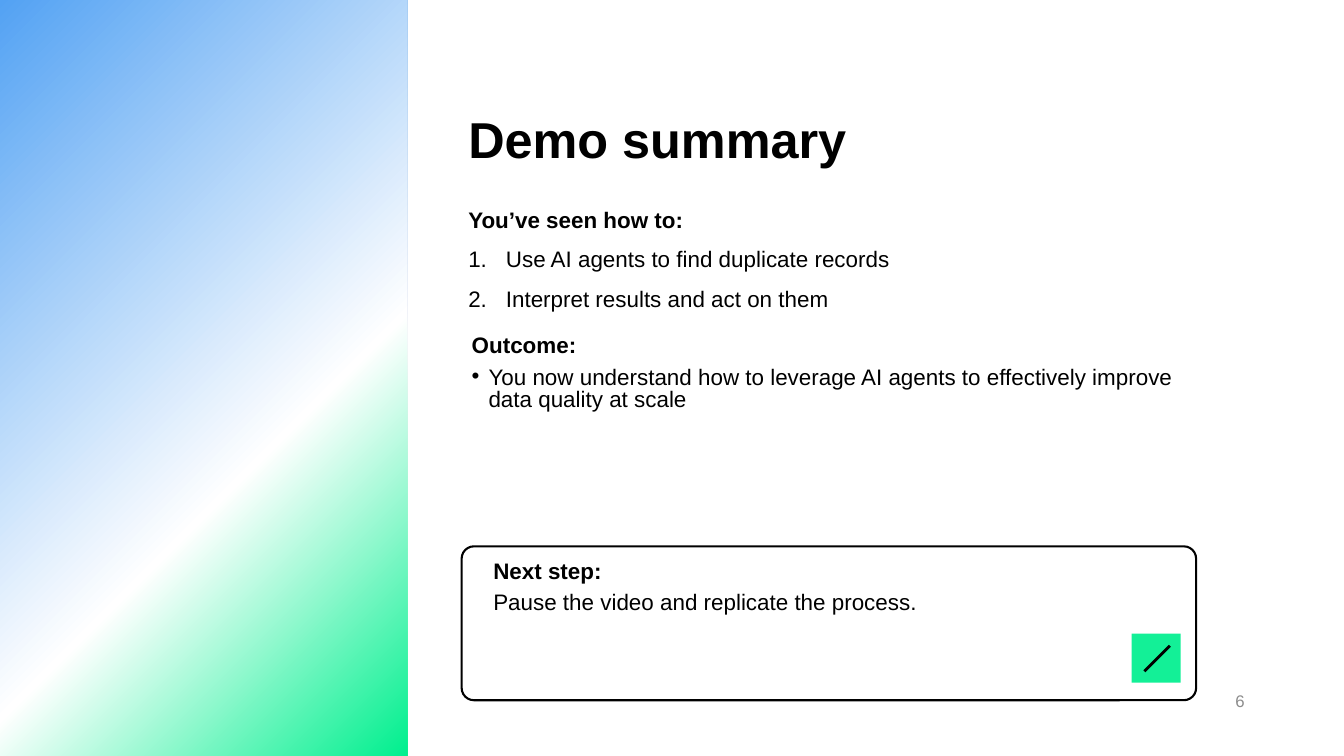
"""Build the demo summary slide."""
from dataclasses import dataclass
from typing import Any

from lxml.etree import SubElement as Sub, fromstring
from pptx import Presentation
from pptx.dml.color import RGBColor as Rgb
from pptx.enum.shapes import MSO_CONNECTOR as Conn, MSO_SHAPE as Geo
from pptx.enum.text import MSO_ANCHOR as Anchor, PP_ALIGN as Align
from pptx.oxml.ns import nsdecls, qn
from pptx.util import Emu, Pt

SCALE = 9144
COLORS = {
    "ink": "000000",
    "paper": "FFFFFF",
    "gray": "8C8C8C",
    "mint": "00EF8E",
    "sky": "53A2F3",
    "icon": "13F097",
}
STOPS = ((0, "mint"), (38, "paper"), (100, "sky"))


@dataclass(frozen=True)
class Area:
    x: int
    y: int
    w: int
    h: int


@dataclass(frozen=True)
class Para:
    text: str
    size: int = 24
    bold: bool = False
    color: str = "ink"
    lead: Any = None
    gap: int = 0
    mark: str = ""
    hang: int = 0
    align: Any = Align.LEFT


@dataclass(frozen=True)
class Block:
    area: Area
    paras: tuple[Para, ...]
    inset: tuple[int, int] = (10, 5)
    anchor: Any = Anchor.TOP


BLOCKS = (
    Block(Area(687, 132, 1093, 159),
          (Para("Demo summary", 54, True, lead=0.9),), anchor=Anchor.MIDDLE),
    Block(Area(1412, 1013, 450, 60),
          (Para("6", 18, color="gray", align=Align.RIGHT),), anchor=Anchor.MIDDLE),
    Block(Area(687, 292, 1093, 285), (
        Para("You’ve seen how to:", bold=True, lead=Pt(36)),
        Para("Use AI agents to find duplicate records", lead=Pt(36), gap=6,
             mark="1.", hang=56),
        Para("Interpret results and act on them", lead=Pt(36), gap=6,
             mark="1.", hang=56),
    )),
    Block(Area(687, 492, 1093, 159), (
        Para("Outcome:", bold=True, lead=Pt(24)),
        Para("You now understand how to leverage AI agents to effectively "
             "improve data quality at scale", lead=Pt(24), gap=10,
             mark="•", hang=25),
    ), (15, 7)),
    Block(Area(719, 828, 872, 197), (
        Para("Next step:", bold=True, lead=Pt(24)),
        Para("Pause the video and replicate the process.", lead=Pt(24), gap=10),
    ), (15, 7)),
)


def px(n: int) -> Emu:
    """Turn px into EMU."""
    return Emu(n * SCALE)


def rgb(name: str) -> Rgb:
    """Look up a colour."""
    return Rgb.from_string(COLORS[name])


def add_mark(par: Any, mark: str, hang: int) -> None:
    """Give a paragraph a hanging bullet or number."""
    ppr = par._p.get_or_add_pPr()
    ppr.set("marL", str(px(hang)))
    ppr.set("indent", str(-px(hang)))
    tint = Sub(ppr, qn("a:buClr"))
    Sub(tint, qn("a:srgbClr"), val=COLORS["ink"])
    Sub(ppr, qn("a:buFont"), typeface="Arial")
    if mark == "1.":
        Sub(ppr, qn("a:buAutoNum"), type="arabicPeriod")
    else:
        Sub(ppr, qn("a:buChar"), char=mark)


def add_text(shapes: Any, block: Block) -> None:
    """Draw a text box."""
    area = block.area
    frame = shapes.add_textbox(*map(px, (area.x, area.y, area.w, area.h))).text_frame
    frame.word_wrap = True
    frame.vertical_anchor = block.anchor
    frame.margin_left = frame.margin_right = px(block.inset[0])
    frame.margin_top = frame.margin_bottom = px(block.inset[1])
    for i, item in enumerate(block.paras):
        par = frame.add_paragraph() if i else frame.paragraphs[0]
        par.text = item.text
        par.alignment = item.align
        if item.mark:
            add_mark(par, item.mark, item.hang)
        if item.lead:
            par.line_spacing = item.lead
        if item.gap:
            par.space_before = Pt(item.gap)
        font = par.font
        font.name, font.size, font.bold = "Arial", Pt(item.size), item.bold
        font.color.rgb = rgb(item.color)


def add_box(shapes: Any, geo: Any, area: Area, fill: str = "",
            line: float = 0, bend: float = 0) -> Any:
    """Draw a preset shape."""
    box = shapes.add_shape(geo, *map(px, (area.x, area.y, area.w, area.h)))
    box.shadow.inherit = False
    if geo == Geo.ROUNDED_RECTANGLE:
        box.adjustments[0] = bend
    if fill:
        box.fill.solid()
        box.fill.fore_color.rgb = rgb(fill)
    if line:
        box.line.color.rgb = rgb("ink")
        box.line.width = Pt(line)
    else:
        box.line.fill.background()
    return box


def add_blend(box: Any) -> None:
    """Fill a shape with the corner gradient."""
    stops = "".join(
        f'<a:gs pos="{pos * 1000}"><a:srgbClr val="{COLORS[name]}"/></a:gs>'
        for pos, name in STOPS)
    grad = fromstring(
        f'<a:gradFill {nsdecls("a")} rotWithShape="1"><a:gsLst>{stops}</a:gsLst>'
        '<a:path path="circle"><a:fillToRect l="100000" t="100000"/></a:path>'
        '<a:tileRect r="-100000" b="-100000"/></a:gradFill>')
    box._element.spPr.find(qn("a:prstGeom")).addnext(grad)


def add_icon(shapes: Any) -> None:
    """Draw the square with a slash."""
    group = shapes.add_group_shape().shapes
    add_box(group, Geo.RECTANGLE, Area(1684, 943, 73, 73), "icon")
    slash = group.add_connector(Conn.STRAIGHT, *map(px, (1741, 961, 1703, 999)))
    slash.line.color.rgb = rgb("ink")
    slash.line.width = Pt(3)
    Sub(slash._element.spPr, qn("a:effectLst"))


def main() -> None:
    """Build and save the slide."""
    deck = Presentation()
    deck.slide_width, deck.slide_height = px(2000), px(1125)
    shapes = deck.slides.add_slide(deck.slide_layouts[6]).shapes
    add_blend(add_box(shapes, Geo.ROUNDED_RECTANGLE, Area(0, 0, 606, 1125)))
    add_box(shapes, Geo.ROUNDED_RECTANGLE, Area(687, 813, 1093, 229),
            "paper", 2.25, 0.08)
    for block in BLOCKS:
        add_text(shapes, block)
    add_icon(shapes)
    deck.save("out.pptx")


if __name__ == "__main__":
    main()
